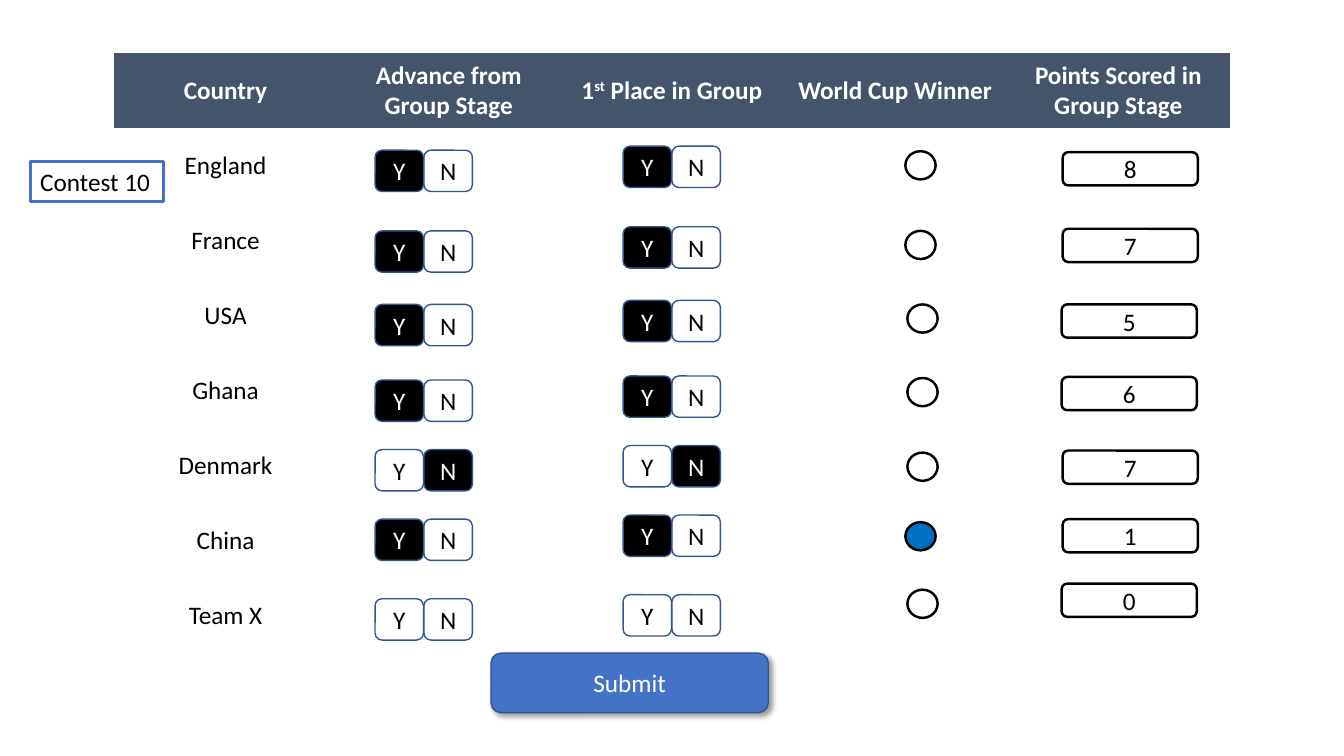
from lxml import etree
from pptx import Presentation
from pptx.dml.color import RGBColor
from pptx.enum.shapes import MSO_SHAPE as SHAPE
from pptx.enum.text import MSO_ANCHOR as ANCHOR, MSO_AUTO_SIZE as AUTO, PP_ALIGN as ALIGN
from pptx.oxml import parse_xml
from pptx.util import Inches, Pt


def add_text(tf, text, color="000000", bold=False):
    p = tf.paragraphs[0]
    p.alignment = ALIGN.CENTER
    # A caret marks the start and end of superscript text
    for i, part in enumerate(text.split("^")):
        r = p.add_run()
        r.text = part
        r.font.name, r.font.size, r.font.bold = "Calibri", Pt(18), bold
        r.font.color.rgb = RGBColor.from_string(color)
        if i % 2:
            r.font._element.set("baseline", "30000")


def add_box(kind, x, y, w, h, fill, line, weight, text="", color="000000"):
    sp = s.shapes.add_shape(kind, Inches(x), Inches(y), Inches(w), Inches(h))
    sp.shadow.inherit = False
    if fill:
        sp.fill.solid()
        sp.fill.fore_color.rgb = RGBColor.from_string(fill)
    else:
        sp.fill.background()
    sp.line.color.rgb = RGBColor.from_string(line)
    sp.line.width = Pt(weight)
    sp.text_frame.vertical_anchor = ANCHOR.MIDDLE
    if text:
        add_text(sp.text_frame, text, color)
    return sp


prs = Presentation()
prs.slide_width, prs.slide_height = Inches(13.33), Inches(7.5)
s = prs.slides.add_slide(prs.slide_layouts[6])

headers = ["Country", "Advance from Group Stage", "1^st^ Place in Group",
           "World Cup Winner", "Points Scored in Group Stage"]
# Country, choice, choice top, circle left and top, points, points left and top
teams = [
    ("England", "Y", 1.49, 8.98, 1.50, "8", 10.54, 1.51),
    ("France", "Y", 2.29, 8.98, 2.29, "7", 10.54, 2.27),
    ("USA", "Y", 3.02, 9.00, 3.02, "5", 10.53, 3.02),
    ("Ghana", "Y", 3.77, 9.00, 3.75, "6", 10.53, 3.74),
    ("Denmark", "N", 4.46, 9.00, 4.49, "7", 10.54, 4.47),
    ("China", "Y", 5.15, 8.98, 5.18, "1", 10.54, 5.15),
    ("Team X", "", 5.94, 9.00, 5.85, "0", 10.53, 5.79),
]
winner = "China"

# Table, with the style that has no grid
tbl = s.shapes.add_table(len(teams) + 1, len(headers), Inches(1.13), Inches(0.53),
                         Inches(11.07), Inches(5.95)).table
tbl.horz_banding = False
tbl._tbl.tblPr[0].text = "{2D5ABB26-0587-4C30-8999-92F81FD0307C}"
for cell in tbl.iter_cells():
    cell.vertical_anchor = ANCHOR.MIDDLE
    cell.fill.background()
for c, header in enumerate(headers):
    cell = tbl.cell(0, c)
    cell.fill.solid()
    cell.fill.fore_color.rgb = RGBColor.from_string("44546A")
    add_text(cell.text_frame, header, "FFFFFF", True)

# Controls of each team
for row, (team, choice, top, cx, cy, points, px, py) in enumerate(teams, 1):
    add_text(tbl.cell(row, 0).text_frame, team)
    for left, rise in ((3.72, 0), (6.18, 0.04)):
        for i, letter in enumerate("YN"):
            fill, color = ("000000", "FFFFFF") if letter == choice else (None, "000000")
            add_box(SHAPE.ROUNDED_RECTANGLE, left + i * 0.485, top - rise, 0.48, 0.41,
                    fill, "325491", 1, letter, color)
    add_box(SHAPE.OVAL, cx, cy, 0.3, 0.28,
            "0070C0" if team == winner else None, "000000", 1.75)
    add_box(SHAPE.ROUNDED_RECTANGLE, px, py, 1.34, 0.33, None, "000000", 1.75, points)

# Submit button with its shadow
button = add_box(SHAPE.ROUNDED_RECTANGLE, 4.87, 6.48, 2.75, 0.59,
                 "4472C4", "325491", 1, "Submit", "FFFFFF")
effects = button._element.spPr.find("{*}effectLst")
effects.append(parse_xml(
    '<a:outerShdw xmlns:a="http://schemas.openxmlformats.org/drawingml/2006/main"'
    ' blurRad="50800" dist="38100" dir="2700000" algn="tl" rotWithShape="0">'
    '<a:srgbClr val="000000"><a:alpha val="40000"/></a:srgbClr></a:outerShdw>'))

# Contest label
label = s.shapes.add_textbox(Inches(0.3), Inches(1.6), Inches(1.32), Inches(0.4))
label.line.color.rgb = RGBColor.from_string("4472C4")
label.line.width = Pt(2.25)
label.text_frame.word_wrap = True
label.text_frame.auto_size = AUTO.SHAPE_TO_FIT_TEXT
add_text(label.text_frame, "Contest 10")
label.text_frame.paragraphs[0].alignment = ALIGN.LEFT

prs.save("out.pptx")
